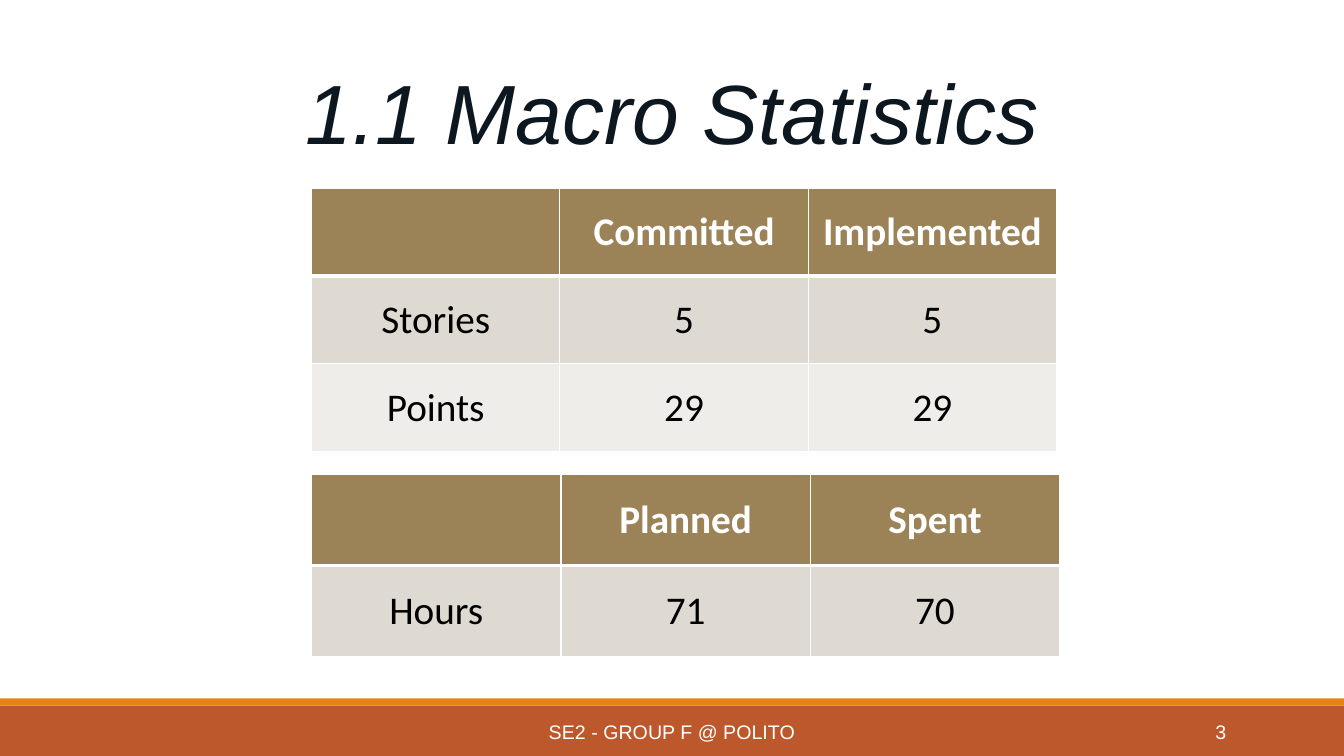
import dataclasses
import lxml.etree
import pptx
import pptx.dml.color
import pptx.enum.shapes
import pptx.enum.text
import pptx.oxml.ns
import pptx.util

Inches = pptx.util.Inches
ALIGN = pptx.enum.text.PP_ALIGN
MIDDLE = pptx.enum.text.MSO_ANCHOR.MIDDLE


@dataclasses.dataclass(frozen=True)
class Theme:
    """Colours, fonts and type sizes of the deck."""
    white: str = "FFFFFF"
    black: str = "000000"
    title: str = "0D171F"
    footer: str = "BD582C"
    stripe: str = "E48312"
    header: str = "9B8357"
    bands: tuple = ("DED9D1", "EFEDEA")
    display_font: str = "Arial"
    table_font: str = "Calibri"
    title_size: int = 60
    table_size: int = 28
    footer_size: int = 14
    rule: int = 1
    header_rule: int = 3


THEME = Theme()


def rgb(value):
    """Turn a hex string into a colour."""
    return pptx.dml.color.RGBColor.from_string(value)


def write(frame, text, *, size, font, color, align=ALIGN.CENTER, bold=False, italic=False):
    """Put one formatted paragraph in a text frame."""
    frame.word_wrap = True
    frame.vertical_anchor = MIDDLE
    paragraph = frame.paragraphs[0]
    paragraph.alignment = align
    run = paragraph.add_run()
    run.text = text
    run.font.size = pptx.util.Pt(size)
    run.font.name = font
    run.font.color.rgb = rgb(color)
    run.font.bold = bold
    run.font.italic = italic


def add_band(slide, box, color):
    """Draw a plain filled band."""
    band = slide.shapes.add_shape(pptx.enum.shapes.MSO_SHAPE.RECTANGLE, *map(Inches, box))
    band.shadow.inherit = False
    band.fill.solid()
    band.fill.fore_color.rgb = rgb(color)
    band.line.fill.background()


def add_footer(slide, box, label, number):
    """Draw the footer bands with the group label and page number."""
    left, top, width, height = box
    stripe_height = 0.07
    add_band(slide, (left, top + stripe_height, width, height - stripe_height), THEME.footer)
    add_band(slide, (left, top, width, stripe_height), THEME.stripe)
    entries = ((label, 4.03, 5.27, ALIGN.CENTER), (number, 10.83, 1.43, ALIGN.RIGHT))
    for text, offset, entry_width, align in entries:
        entry = slide.shapes.add_textbox(
            Inches(left + offset), Inches(top + 0.13), Inches(entry_width), Inches(0.4))
        write(entry.text_frame, text, size=THEME.footer_size, font=THEME.display_font,
              color=THEME.white, align=align)


def add_title(slide, box, text):
    """Place and fill the title placeholder."""
    title = slide.shapes.title
    title.left, title.top, title.width, title.height = map(Inches, box)
    write(title.text_frame, text, size=THEME.title_size, font=THEME.display_font,
          color=THEME.title, italic=True)


def set_borders(cell, top, bottom):
    """Give a cell white edges with the given top and bottom widths."""
    properties = cell._tc.get_or_add_tcPr()
    edges = {"a:lnL": THEME.rule, "a:lnR": THEME.rule, "a:lnT": top, "a:lnB": bottom}
    for index, (tag, width) in enumerate(edges.items()):
        edge = lxml.etree.Element(pptx.oxml.ns.qn(tag), w=str(pptx.util.Pt(width)))
        fill = lxml.etree.SubElement(edge, pptx.oxml.ns.qn("a:solidFill"))
        lxml.etree.SubElement(fill, pptx.oxml.ns.qn("a:srgbClr"), val=THEME.white)
        properties.insert(index, edge)


def add_statistics(slide, box, rows):
    """Draw a statistics table with a header row and banded body rows."""
    left, top, width, height = box
    table = slide.shapes.add_table(len(rows), len(rows[0]), *map(Inches, box)).table
    for column in table.columns:
        column.width = Inches(width / len(rows[0]))
    for row in table.rows:
        row.height = Inches(height / len(rows))
    for row_index, values in enumerate(rows):
        is_header = row_index == 0
        fill = THEME.header if is_header else THEME.bands[(row_index - 1) % 2]
        for column_index, value in enumerate(values):
            cell = table.cell(row_index, column_index)
            cell.fill.solid()
            cell.fill.fore_color.rgb = rgb(fill)
            set_borders(cell, THEME.header_rule if row_index == 1 else THEME.rule,
                        THEME.header_rule if is_header else THEME.rule)
            cell.vertical_anchor = MIDDLE
            if value:
                write(cell.text_frame, value, size=THEME.table_size, font=THEME.table_font,
                      color=THEME.white if is_header else THEME.black, bold=is_header)


def build_macro_statistics(deck):
    """Build the macro statistics slide."""
    slide = deck.slides.add_slide(deck.slide_layouts.get_by_name("Title Only"))
    add_footer(slide, (0, 6.93, 13.33, 0.57), "SE2 - GROUP F @ POLITO", "3")
    add_title(slide, (1.98, 0.55, 9.37, 1.11), "1.1 Macro Statistics")
    add_statistics(slide, (3.09, 1.87, 7.39, 2.61), (
        ("", "Committed", "Implemented"),
        ("Stories", "5", "5"),
        ("Points", "29", "29"),
    ))
    add_statistics(slide, (3.09, 4.71, 7.42, 1.8), (
        ("", "Planned", "Spent"),
        ("Hours", "71", "70"),
    ))


deck = pptx.Presentation()
deck.slide_width, deck.slide_height = Inches(13.33), Inches(7.5)
build_macro_statistics(deck)
deck.save("out.pptx")
